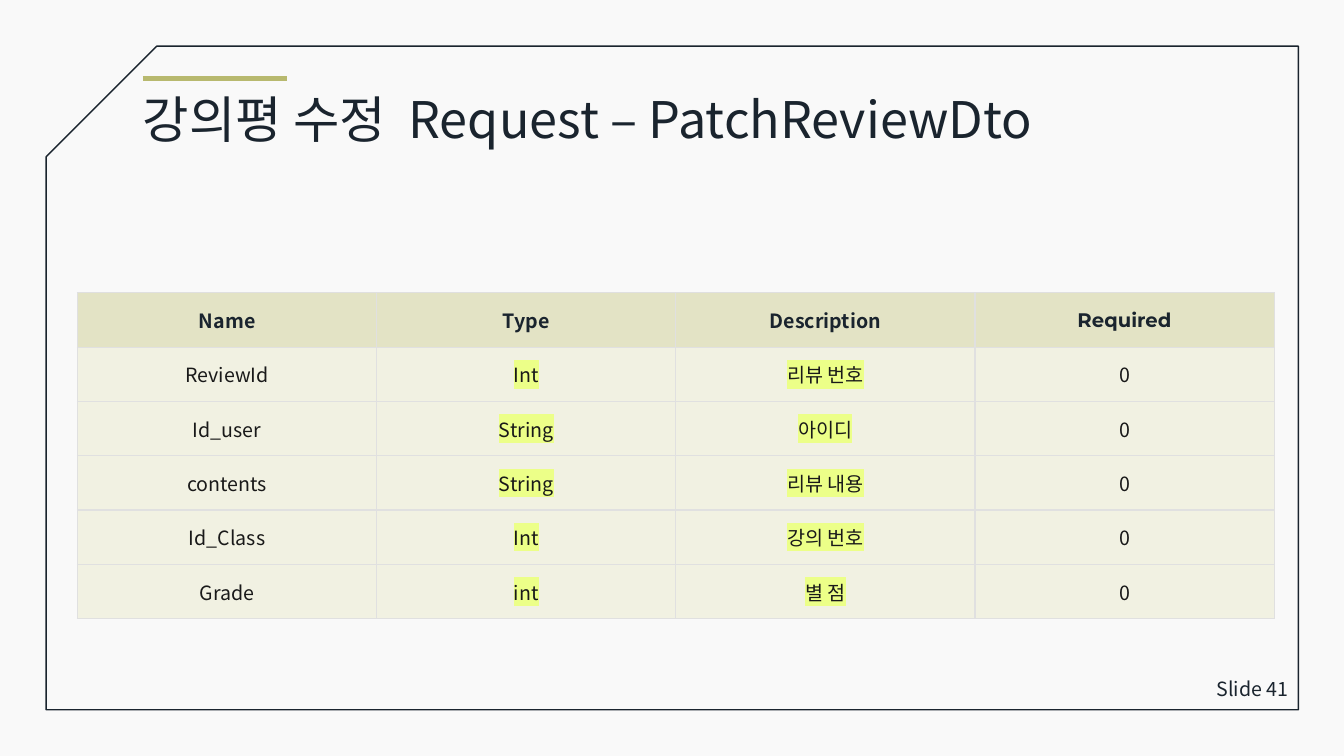
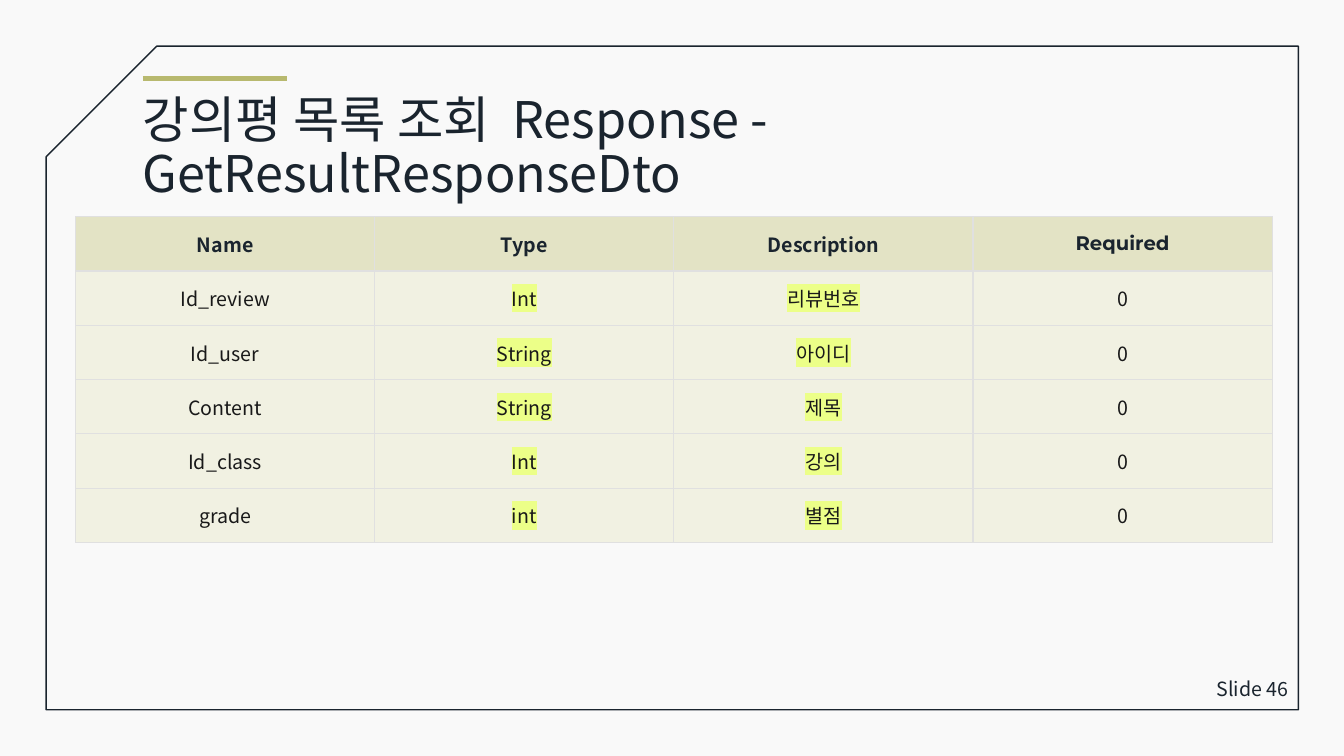
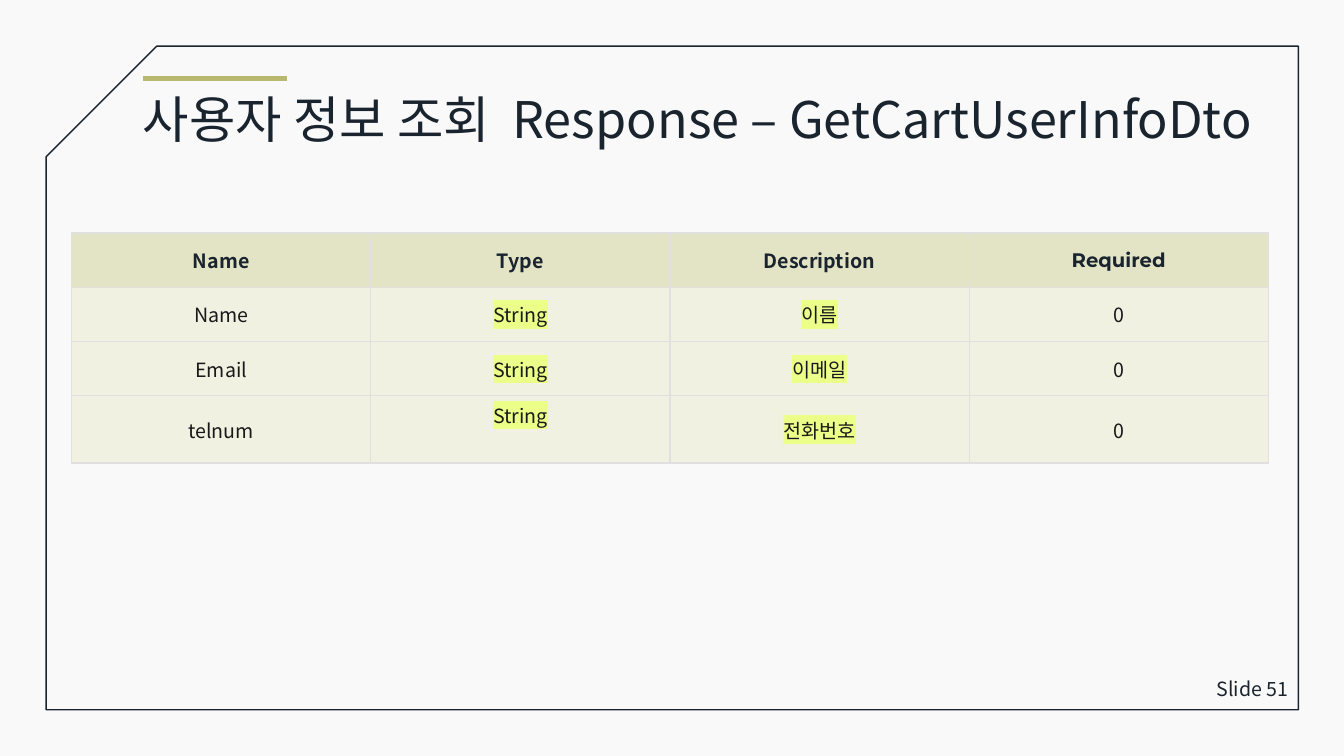
from dataclasses import dataclass

from lxml import etree
from pptx import Presentation
from pptx.dml.color import RGBColor
from pptx.enum import shapes, text
from pptx.oxml import ns
from pptx.util import Pt


@dataclass(frozen=True)
class Theme:
    back: str = "F9F9F9"
    ink: str = "1A242E"
    body: str = "191919"
    accent: str = "B8B96F"
    head: str = "E3E3C5"
    cell: str = "F1F1E2"
    edge: str = "E0E0E0"
    mark: str = "ECFF88"
    font: str = "Noto Sans CJK KR"
    alt: str = "Montserrat"
    big: int = 36
    small: int = 14


T = Theme()
WIDE, HIGH = 960, 540
FRAME = (33, 33, 894.5, 474)
TITLE = (95, 60.5, 832, 82)
NUMBER = (833, 477.5, 94.5, 29.5)
COLUMN, ROW, TALL = 213.7, 38.8, 48
HEADS = ("Name", "Type", "Description", "Required")

SLIDES = (
    (41, ("강의평 수정", "Request – PatchReviewDto"), (55.4, 209.2), (
        ("ReviewId", "Int", "리뷰 번호", "0"),
        ("Id_user", "String", "아이디", "0"),
        ("contents", "String", "리뷰 내용", "0"),
        ("Id_Class", "Int", "강의 번호", "0"),
        ("Grade", "int", "별 점", "0"),
    ), False),
    (46, ("강의평 목록 조회", "Response - GetResultResponseDto"), (54, 154.8), (
        ("Id_review", "Int", "리뷰번호", "0"),
        ("Id_user", "String", "아이디", "0"),
        ("Content", "String", "제목", "0"),
        ("Id_class", "Int", "강의", "0"),
        ("grade", "int", "별점", "0"),
    ), False),
    (51, ("사용자 정보 조회", "Response – GetCartUserInfoDto"), (51.2, 166.4), (
        ("Name", "String", "이름", "0"),
        ("Email", "String", "이메일", "0"),
        ("telnum", "String", "전화번호", "0"),
    ), True),
)


def rgb(code):
    return RGBColor.from_string(code)


def pts(box):
    return [Pt(n) for n in box]


def paint(part, code):
    part.fill.solid()
    part.fill.fore_color.rgb = rgb(code)


def write(para, words, size, color, font=T.font, bold=False, mark=None):
    """Add one styled run, with a highlight if mark is given."""
    run = para.add_run()
    run.text = words
    run.font.size, run.font.bold = Pt(size), bold
    run.font.color.rgb = rgb(color)
    run.font.name = font
    props = run.font._element
    latin = props.find(ns.qn("a:latin"))
    if mark:
        glow = etree.Element(ns.qn("a:highlight"))
        etree.SubElement(glow, ns.qn("a:srgbClr"), val=mark)
        latin.addprevious(glow)
    latin.addnext(etree.Element(ns.qn("a:ea"), typeface=T.font))
    return run


def frame(slide, box):
    """Draw the outline with its cut corner and the accent bar."""
    left, top = box[:2]
    edge = slide.shapes.add_shape(
        shapes.MSO_SHAPE.SNIP_1_RECTANGLE, *pts(box))
    edge.shadow.inherit = False
    edge.fill.background()
    edge.line.color.rgb, edge.line.width = rgb(T.ink), Pt(1)
    edge._element.spPr.find(ns.qn("a:xfrm")).set("flipH", "1")

    bar = slide.shapes.add_connector(
        shapes.MSO_CONNECTOR.STRAIGHT,
        *pts((left + 69, top + 23.2, left + 172, top + 23.2)))
    bar.line.color.rgb, bar.line.width = rgb(T.accent), Pt(4)
    etree.SubElement(bar._element.spPr, ns.qn("a:effectLst"))


def label(slide, box):
    """Add an empty wrapping text box; return its text frame."""
    area = slide.shapes.add_textbox(*pts(box)).text_frame
    area.word_wrap = True
    return area


def title(slide, box, parts):
    area = label(slide, box)
    area.margin_top = Pt(7)
    para = area.paragraphs[0]
    para.line_spacing = Pt(38.6)
    write(para, parts[0], T.big, T.ink)
    gap = write(para, " ", T.big, T.ink)
    gap.font._element.set("spc", "800")
    write(para, parts[1], T.big, T.ink)


def number(slide, box, num):
    area = label(slide, box)
    area.vertical_anchor = text.MSO_ANCHOR.MIDDLE
    para = area.paragraphs[0]
    para.alignment = text.PP_ALIGN.RIGHT
    write(para, f"Slide {num}", T.small, T.ink)


def border(cell):
    props = cell._tc.get_or_add_tcPr()
    for spot, side in enumerate(("lnL", "lnR", "lnT", "lnB")):
        line = etree.Element(ns.qn(f"a:{side}"), w=str(Pt(1)))
        fill = etree.SubElement(line, ns.qn("a:solidFill"))
        etree.SubElement(fill, ns.qn("a:srgbClr"), val=T.edge)
        props.insert(spot, line)


def grid(slide, spot, rows, tall):
    """Place the field table; tall makes its last row higher."""
    data = (HEADS, *rows)
    box = (*spot, COLUMN * len(HEADS), ROW * len(data))
    table = slide.shapes.add_table(len(data), len(HEADS), *pts(box)).table
    for col in table.columns:
        col.width = Pt(COLUMN)
    for r, row in enumerate(data):
        high = tall and r == len(rows)
        table.rows[r].height = Pt(TALL if high else ROW)
        for c, words in enumerate(row):
            cell = table.cell(r, c)
            paint(cell, T.cell if r else T.head)
            border(cell)
            top = high and c == 1
            cell.vertical_anchor = (
                text.MSO_ANCHOR.TOP if top else text.MSO_ANCHOR.MIDDLE)
            para = cell.text_frame.paragraphs[0]
            para.alignment = text.PP_ALIGN.CENTER
            if r:
                mark = T.mark if c in (1, 2) else None
                write(para, words, T.small, T.body, mark=mark)
            else:
                font = T.alt if c == 3 else T.font
                write(para, words, T.small, T.ink, font, True)


def main():
    deck = Presentation()
    deck.slide_width, deck.slide_height = Pt(WIDE), Pt(HIGH)
    for num, parts, spot, rows, tall in SLIDES:
        slide = deck.slides.add_slide(deck.slide_layouts[6])
        paint(slide.background, T.back)
        frame(slide, FRAME)
        number(slide, NUMBER, num)
        title(slide, TITLE, parts)
        grid(slide, spot, rows, tall)
    deck.save("out.pptx")


if __name__ == "__main__":
    main()
